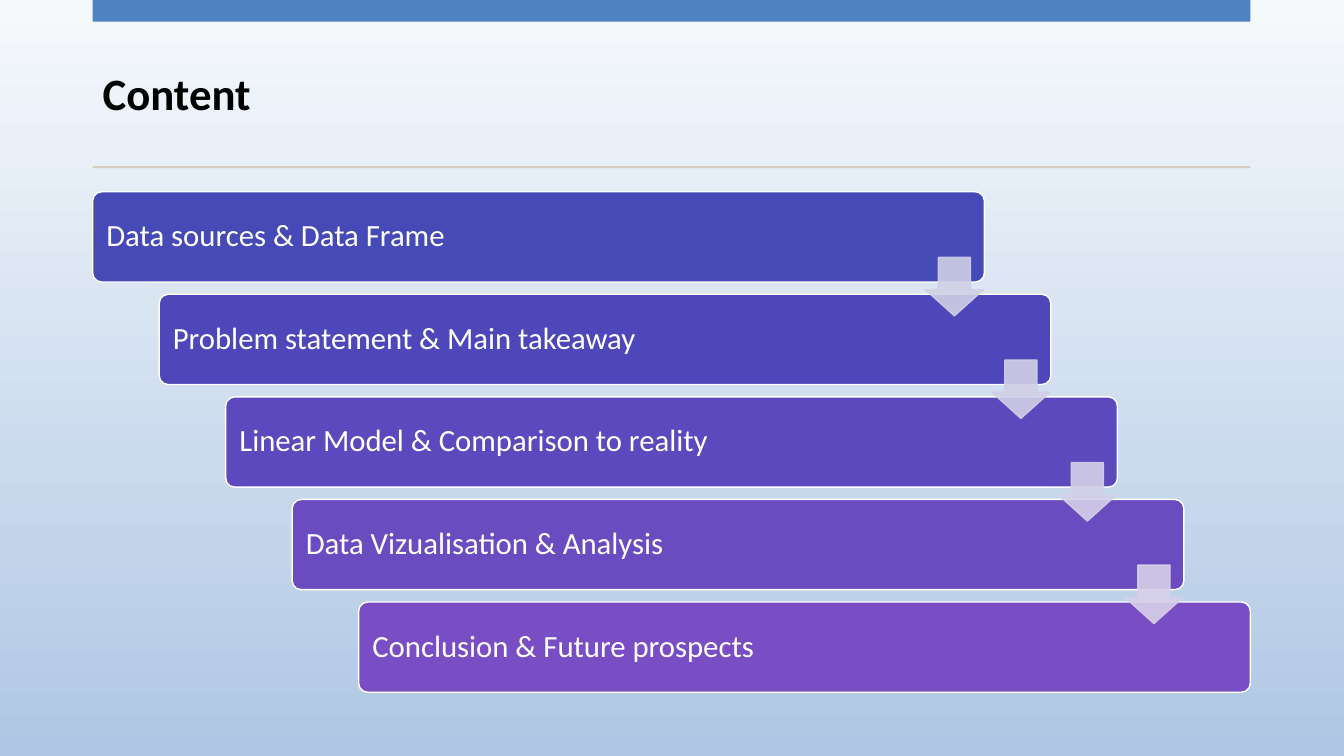
from lxml import etree
from pptx import Presentation
from pptx.dml.color import RGBColor
from pptx.enum.shapes import MSO_SHAPE
from pptx.enum.text import MSO_ANCHOR, PP_ALIGN
from pptx.oxml.ns import qn
from pptx.util import Inches, Pt

RECT, ROUNDED, ARROW = MSO_SHAPE.RECTANGLE, MSO_SHAPE.ROUNDED_RECTANGLE, MSO_SHAPE.DOWN_ARROW
MIDDLE, LEFT = MSO_ANCHOR.MIDDLE, PP_ALIGN.LEFT

# Each step moves one column right and one row down
MARGIN = 0.92
COL, ROW = 2.64 / 4, 4.07 / 4
FULL = 17.41  # content width in columns

STEPS = [
    ("Data sources & Data Frame", "464AB6"),
    ("Problem statement & Main takeaway", "4E47BA"),
    ("Linear Model & Comparison to reality", "5C49BD"),
    ("Data Vizualisation & Analysis", "6B4BC0"),
    ("Conclusion & Future prospects", "794DC3"),
]
ARROW_COLOURS = ["CFD0E5", "D1CFE7", "D4D0E8", "D7D0E9"]


def rgb(colour):
    return RGBColor.from_string(colour)


class Deck:
    font = "Calibri"

    def __init__(self, width, height):
        self.prs = Presentation()
        self.prs.slide_width, self.prs.slide_height = Inches(width), Inches(height)
        self.s = self.prs.slides.add_slide(self.prs.slide_layouts[6])

    def place(self, col, row, cols, rows):
        return (Inches(MARGIN + col * COL), Inches(row * ROW),
                Inches(cols * COL), Inches(rows * ROW))

    def background(self, top, bottom):
        fill = self.s.background.fill
        fill.gradient()
        fill.gradient_angle = 270
        for stop, colour in zip(fill.gradient_stops, (top, bottom)):
            stop.color.rgb = rgb(colour)

    def shape(self, kind, box, fill, line=None, adjust=(), alpha=None):
        sp = self.s.shapes.add_shape(kind, *self.place(*box))
        sp.shadow.inherit = False
        for i, value in enumerate(adjust):
            sp.adjustments[i] = value
        sp.fill.solid()
        sp.fill.fore_color.rgb = rgb(fill)
        if line:
            sp.line.color.rgb = rgb(line)
            sp.line.width = Pt(1)
        else:
            sp.line.fill.background()
        if alpha:
            for clr in sp.element.spPr.findall(".//" + qn("a:srgbClr")):
                etree.SubElement(clr, qn("a:alpha")).set("val", str(alpha * 1000))
        return sp

    def label(self, sp, text, size, colour, bold=False, inset=0.1):
        tf = sp.text_frame
        tf.word_wrap = True
        tf.vertical_anchor = MIDDLE
        tf.margin_left = Inches(inset)
        p = tf.paragraphs[0]
        p.text = text
        p.alignment = LEFT
        p.line_spacing = 0.9
        p.font.name, p.font.size, p.font.bold = self.font, Pt(size), bold
        p.font.color.rgb = rgb(colour)

    def title(self, text, box):
        sp = self.s.shapes.add_textbox(*self.place(*box))
        self.label(sp, text, 32, "000000", bold=True)

    def step(self, i, text, colour):
        sp = self.shape(ROUNDED, (i, 1.87 + i, 13.41, 0.88), colour, "FFFFFF", [0.1])
        self.label(sp, text, 22, "FFFFFF", inset=0.11)

    def arrow(self, i, colour):
        self.shape(ARROW, (12.52 + i, 2.51 + i, 0.88, 0.57), colour, colour,
                   [0.55, 0.45], alpha=90)


def main():
    deck = Deck(13.34, 7.5)
    deck.background("F6F9FC", "AFC7E4")

    # Header
    deck.title("Content", (0, 0.36, FULL, 1.16))
    deck.shape(RECT, (0, 0, FULL, 0.21), "4D83C3")
    deck.shape(RECT, (0, 1.62, FULL, 0.02), "D7CDBA")

    # Staircase of topics, with arrows on top
    for i, (text, colour) in enumerate(STEPS):
        deck.step(i, text, colour)
    for i, colour in enumerate(ARROW_COLOURS):
        deck.arrow(i, colour)

    deck.prs.save("out.pptx")


if __name__ == "__main__":
    main()
